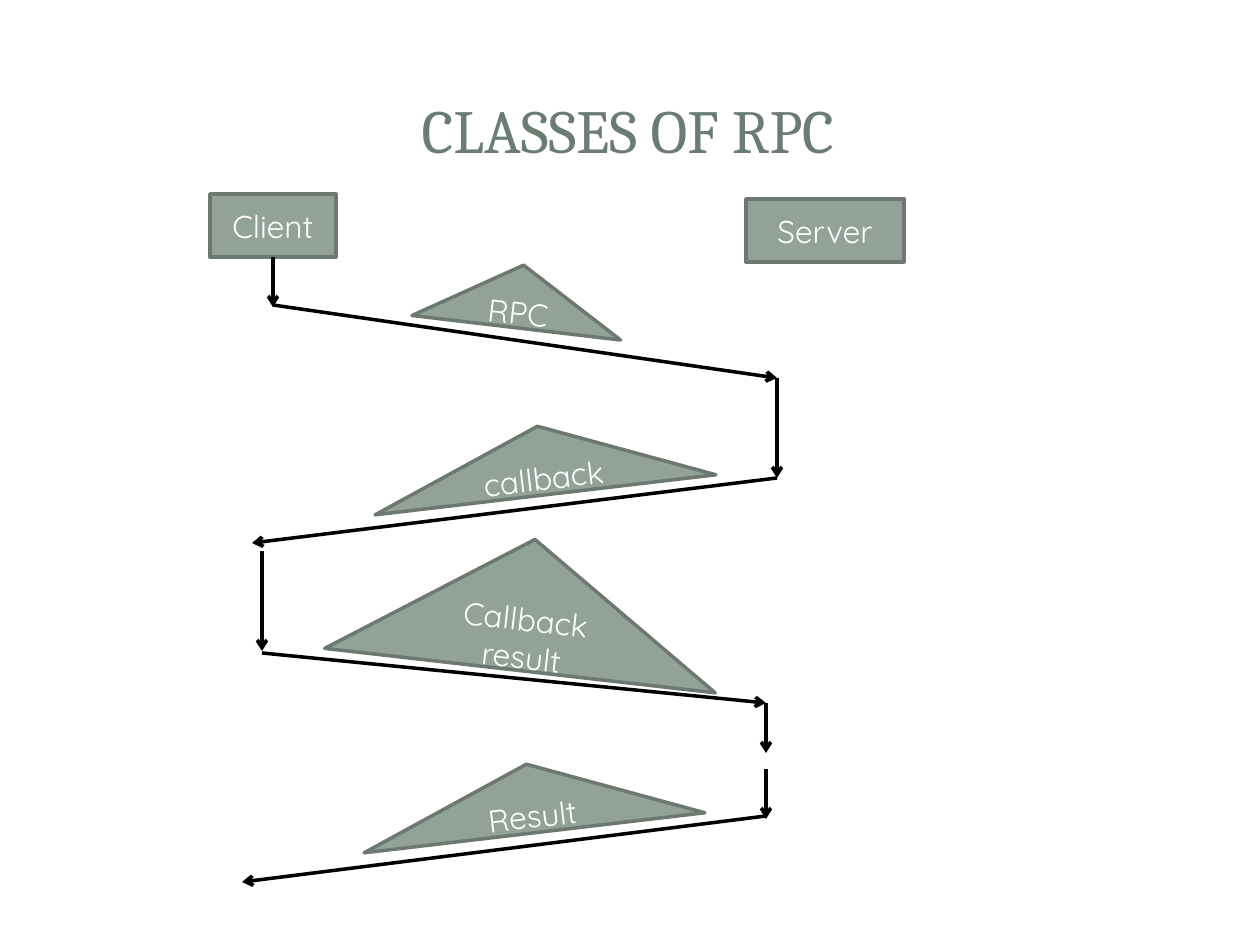
from pptx import Presentation
from pptx.dml.color import RGBColor
from pptx.enum.shapes import MSO_CONNECTOR, MSO_SHAPE
from pptx.enum.text import MSO_ANCHOR, MSO_AUTO_SIZE, PP_ALIGN
from pptx.oxml.ns import qn
from pptx.util import Pt
from lxml.etree import SubElement

PX = 914400 / 126
BOTTOM = 2


def px(length):
    return round(length * PX)


def color(hex_string):
    return RGBColor.from_string(hex_string)


class SequencePage:
    """Holds the diagram style and the slide being drawn."""

    title_font, label_font = "Cambria", "Quicksand"
    title_color, label_color = "6B7D72", "FFFFFF"
    fill, outline, arrow_color = "93A299", "6D7871", "000000"
    line_width = Pt(2)

    def __init__(self, deck):
        self.page = deck.slides.add_slide(deck.slide_layouts[5])

    def set_text(self, frame, text, font, size, hex_string):
        frame.word_wrap = True
        frame.auto_size = MSO_AUTO_SIZE.NONE
        frame.vertical_anchor = MSO_ANCHOR.MIDDLE
        para = frame.paragraphs[0]
        para.alignment = PP_ALIGN.CENTER
        span = para.add_run()
        span.text = text
        span.font.name = font
        span.font.size = Pt(size)
        span.font.color.rgb = color(hex_string)

    def title(self, text, left, top, width, height):
        box = self.page.shapes.title
        box.left, box.top = px(left), px(top)
        box.width, box.height = px(width), px(height)
        self.set_text(box.text_frame, text, self.title_font, 35, self.title_color)

    def label(self, kind, text, left, top, width, height, rotation=0):
        box = self.page.shapes.add_shape(
            kind, px(left), px(top), px(width), px(height))
        box.rotation = rotation
        box.shadow.inherit = False
        box.fill.solid()
        box.fill.fore_color.rgb = color(self.fill)
        box.line.color.rgb = color(self.outline)
        box.line.width = self.line_width
        self.set_text(box.text_frame, text, self.label_font, 18, self.label_color)
        return box

    def actor(self, text, *place):
        return self.label(MSO_SHAPE.RECTANGLE, text, *place)

    def message(self, text, *place):
        return self.label(MSO_SHAPE.ISOSCELES_TRIANGLE, text, *place)

    def arrow(self, start, end):
        connector = self.page.shapes.add_connector(
            MSO_CONNECTOR.STRAIGHT, *map(px, start + end))
        connector.line.color.rgb = color(self.arrow_color)
        connector.line.width = self.line_width
        properties = connector._element.spPr
        SubElement(properties.find(qn("a:ln")), qn("a:tailEnd"), type="arrow")
        SubElement(properties, qn("a:effectLst"))
        return connector


def main():
    deck = Presentation()
    deck.slide_width, deck.slide_height = px(1260), px(945)
    diagram = SequencePage(deck)
    diagram.title("CLASSES OF RPC", 59, 57, 1138, 144)

    client = diagram.actor("Client", 210, 194, 126, 63)
    diagram.actor("Server", 746, 199, 158, 63)
    diagram.arrow((273, 257), (273, 307)).begin_connect(client, BOTTOM)

    for start, end in [
        ((273, 305), (777, 378)),
        ((777, 378), (777, 478)),
        ((777, 478), (252, 543)),
        ((262, 551), (262, 651)),
        ((262, 653), (766, 703)),
        ((766, 703), (766, 753)),
        ((766, 769), (766, 819)),
        ((766, 816), (242, 882)),
    ]:
        diagram.arrow(start, end)

    diagram.message("RPC", 415, 265, 210, 63, 6.7)
    diagram.message("callback", 370, 426, 343, 69, -6.7)
    diagram.message("Result", 359, 764, 343, 69, -6.7)
    diagram.message("Callback result", 331, 539, 393, 132, 6.5)

    deck.save("out.pptx")


if __name__ == "__main__":
    main()
